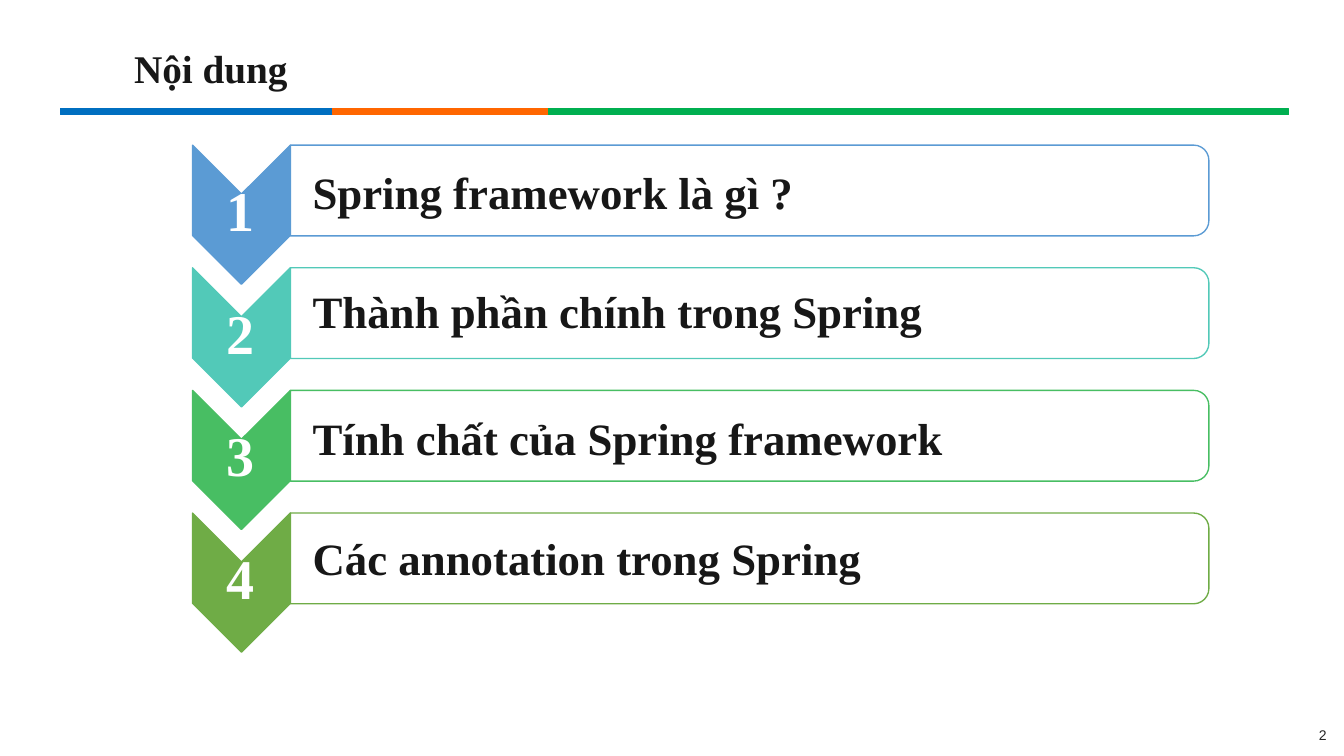
from math import cos, pi, sin

from pptx import Presentation
from pptx.dml.color import RGBColor
from pptx.enum.shapes import MSO_SHAPE as Shape
from pptx.enum.text import MSO_ANCHOR as Anchor
from pptx.util import Inches, Pt

COLORS = {
    "white": "FFFFFF", "title": "171717", "number": "252525",
    "bar_blue": "006FC0", "bar_orange": "FF6600", "bar_green": "00AF50",
    "blue": "5B9BD4", "teal": "52C9B8", "green": "48BE63", "olive": "6FAC46",
}
SERIF = "Times New Roman"
LINE_WIDTH = Pt(0.96)

# Label, colour, and drop of the label below the top of its row
TOPICS = [
    ("Spring framework là gì ?", "blue", 0.18),
    ("Thành phần chính trong Spring", "teal", 0.15),
    ("Tính chất của Spring framework", "green", 0.19),
    ("Các annotation trong Spring", "olive", 0.17),
]
FIRST_TOP, LAST_TOP = 1.44, 5.09


def color(name):
    return RGBColor.from_string(COLORS[name])


def paint(shape, fill, line):
    shape.shadow.inherit = False
    shape.fill.solid()
    shape.fill.fore_color.rgb = color(fill)
    shape.line.color.rgb = color(line)
    shape.line.width = LINE_WIDTH


def add_outline(page, points, fill, line):
    corners = [(Inches(x), Inches(y)) for x, y in points]
    builder = page.shapes.build_freeform(*corners[0])
    builder.add_line_segments(corners[1:], close=True)
    paint(builder.convert_to_shape(), fill, line)


def add_text(page, text, left, top, width, height, size, ink,
             font=SERIF, bold=True, before=1, inset=0.01):
    box = page.shapes.add_textbox(
        Inches(left), Inches(top), Inches(width), Inches(height))
    frame = box.text_frame
    frame.word_wrap = True
    frame.vertical_anchor = Anchor.TOP
    frame.margin_left = Inches(inset)
    frame.margin_top = Inches(0.01)
    frame.margin_right = frame.margin_bottom = 0
    frame.text = text
    para = frame.paragraphs[0]
    para.space_before = Pt(before)
    span = para.runs[0]
    span.font.name = font
    span.font.size = Pt(size)
    span.font.bold = bold
    span.font.color.rgb = color(ink)


def add_header(page, left, top, width, height):
    add_text(page, "Nội dung", left + 0.72, top, 1.75, 0.49, 28, "title")
    # Three-coloured rule, each part running up to the next one
    starts = [0, 2.7, 4.84, width]
    names = ["bar_blue", "bar_orange", "bar_green"]
    for start, end, name in zip(starts, starts[1:], names):
        part = page.shapes.add_shape(
            Shape.RECTANGLE, Inches(left + start), Inches(top + height - 0.06),
            Inches(end - start), Inches(0.06))
        paint(part, name, name)


def add_chevron(page, number, left, top, width, height, name):
    middle, right, bottom = left + width / 2, left + width, top + height
    depth = width / 2
    add_outline(page, [
        (left, top), (middle, top + depth), (right, top),
        (right, bottom - depth), (middle, bottom), (left, bottom - depth),
    ], name, name)
    add_text(page, str(number), left + 0.33, top + 0.29, 0.4, 0.69, 40, "white")


def add_panel(page, label, drop, left, top, width, height, name):
    right, bottom, radius = left + width, top + height, 0.15
    # Quarter circles on the two right-hand corners
    turns = [step * pi / 12 for step in range(7)]
    upper = [(right - radius + radius * sin(t), top + radius - radius * cos(t))
             for t in turns]
    lower = [(x, top + bottom - y) for x, y in reversed(upper)]
    add_outline(page, [(left, top), *upper, *lower, (left, bottom)],
                "white", name)
    add_text(page, label, left + 0.21, top + drop, width - 0.5, 0.56, 32, "title")


def add_topics(page, left, width):
    pitch = (LAST_TOP - FIRST_TOP) / (len(TOPICS) - 1)
    chevron_width = 0.97
    for index, (label, name, drop) in enumerate(TOPICS):
        top = FIRST_TOP + index * pitch
        add_chevron(page, index + 1, left, top, chevron_width, 1.38, name)
        add_panel(page, label, drop, left + chevron_width, top,
                  width - chevron_width, 0.9, name)


def main():
    deck = Presentation()
    deck.slide_width, deck.slide_height = Inches(13.33), Inches(7.5)
    page = deck.slides.add_slide(deck.slide_layouts[6])
    add_header(page, 0.6, 0.43, 12.18, 0.71)
    add_topics(page, 1.91, 10.08)
    # Slide number
    add_text(page, "2", 13.04, 7.2, 0.24, 0.18, 10, "number",
             font="Arial", bold=False, before=0, inset=0.04)
    deck.save("out.pptx")


if __name__ == "__main__":
    main()
